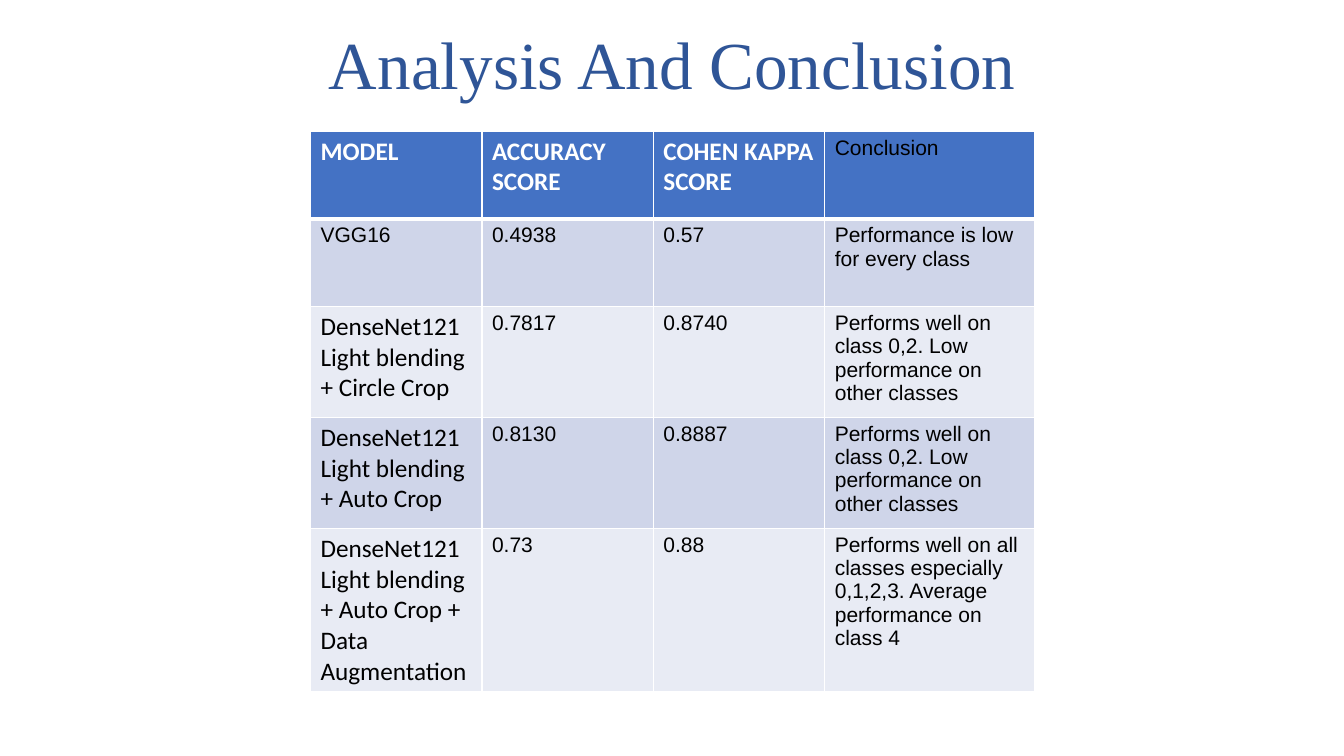
from lxml.etree import SubElement
from pptx import Presentation
from pptx.dml.color import RGBColor
from pptx.enum.text import MSO_ANCHOR, PP_ALIGN
from pptx.oxml.ns import qn
from pptx.util import Inches, Pt

WHITE = RGBColor(0xFF, 0xFF, 0xFF)
BLACK = RGBColor(0x00, 0x00, 0x00)
TITLE_BLUE = RGBColor(0x2F, 0x55, 0x97)
HEADER_BLUE = RGBColor(0x44, 0x72, 0xC4)
BANDS = (RGBColor(0xCF, 0xD5, 0xE9), RGBColor(0xE8, 0xEB, 0xF4))

COLUMN_WIDTHS = (1.7, 1.7, 1.7, 2.08)
ROW_HEIGHTS = (0.87, 0.87, 1.04, 1.04, 1.62)
THIN, THICK = 0.96, 3

RESULTS = (
    ("MODEL", "ACCURACY SCORE", "COHEN KAPPA SCORE", "Conclusion"),
    ("VGG16", "0.4938", "0.57", "Performance is low for every class"),
    ("DenseNet121 Light blending + Circle Crop", "0.7817", "0.8740",
     "Performs well on class 0,2. Low performance on other classes"),
    ("DenseNet121 Light blending + Auto Crop", "0.8130", "0.8887",
     "Performs well on class 0,2. Low performance on other classes"),
    ("DenseNet121 Light blending + Auto Crop + Data Augmentation", "0.73", "0.88",
     "Performs well on all classes especially 0,1,2,3. Average performance on class 4"),
)

PLAIN = dict(size=15, name="Arial", color=BLACK)
MODEL = dict(size=18, name="Calibri", color=BLACK)
HEADING = dict(size=18, name="Calibri", color=WHITE, bold=True)


def write_text(frame, text, *, size, name, color, bold=False,
               align=PP_ALIGN.LEFT, line_spacing=None):
    paragraph = frame.paragraphs[0]
    paragraph.alignment = align
    paragraph.line_spacing = line_spacing
    run = paragraph.add_run()
    run.text = text
    run.font.size = Pt(size)
    run.font.name = name
    run.font.bold = bold
    run.font.color.rgb = color


def add_title(slide, text, left, top, width, height):
    frame = slide.shapes.add_textbox(
        Inches(left), Inches(top), Inches(width), Inches(height)).text_frame
    frame.word_wrap = True
    frame.vertical_anchor = MSO_ANCHOR.MIDDLE
    write_text(frame, text, size=48, name="Times New Roman", color=TITLE_BLUE,
               align=PP_ALIGN.CENTER, line_spacing=0.9)


def set_borders(cell, **widths):
    """Draw white borders; widths are points keyed by L, R, T and B, in that order."""
    properties = cell._tc.get_or_add_tcPr()
    for side, width in widths.items():
        line = SubElement(properties, qn(f"a:ln{side}"), w=str(Pt(width)))
        fill = SubElement(line, qn("a:solidFill"))
        SubElement(fill, qn("a:srgbClr"), val=str(WHITE))


def cell_format(row, column):
    if row == 0:
        return HEADING if column < 3 else PLAIN
    return MODEL if row > 1 and column == 0 else PLAIN


def add_results_table(slide, left, top):
    table = slide.shapes.add_table(
        len(RESULTS), len(COLUMN_WIDTHS), Inches(left), Inches(top),
        Inches(sum(COLUMN_WIDTHS)), Inches(sum(ROW_HEIGHTS))).table
    for column, width in zip(table.columns, COLUMN_WIDTHS):
        column.width = Inches(width)
    for row, height in zip(table.rows, ROW_HEIGHTS):
        row.height = Inches(height)
    for row, texts in enumerate(RESULTS):
        for column, text in enumerate(texts):
            cell = table.cell(row, column)
            set_borders(cell, L=THIN, R=THIN,
                        T=THICK if row == 1 else THIN,
                        B=THICK if row == 0 else THIN)
            cell.fill.solid()
            cell.fill.fore_color.rgb = BANDS[(row - 1) % 2] if row else HEADER_BLUE
            write_text(cell.text_frame, text, **cell_format(row, column))


def main():
    presentation = Presentation()
    presentation.slide_width = Inches(13.33)
    presentation.slide_height = Inches(7.5)
    slide = presentation.slides.add_slide(presentation.slide_layouts[6])
    add_title(slide, "Analysis And Conclusion", 0.76, 0.24, 11.82, 0.86)
    add_results_table(slide, 3.08, 1.3)
    presentation.save("out.pptx")


if __name__ == "__main__":
    main()
